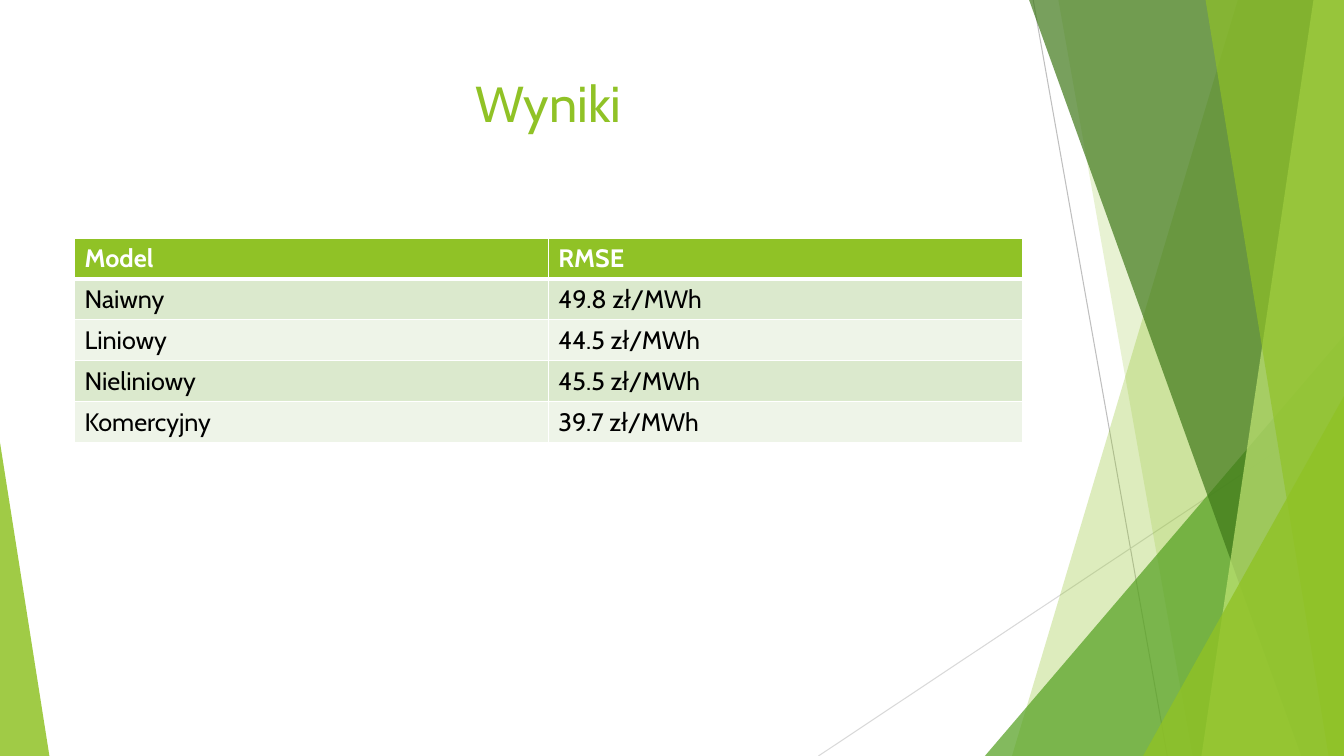
from lxml import etree
from pptx import Presentation
from pptx import util as u
from pptx.dml.color import RGBColor
from pptx.enum import shapes, text
from pptx.oxml import ns

SLIDE_BOX = (0, 0, 960, 540)
TITLE_BOX = (53.3, 48.2, 676.8, 103.7)
RESULTS_BOX = (53.3, 170.1, 676.8, 146)
FONT = "Cabin"
GREEN = "90C226"
RESULTS = [
    ("Model", "RMSE"),
    ("Naiwny", "49.8 zł/MWh"),
    ("Liniowy", "44.5 zł/MWh"),
    ("Nieliniowy", "45.5 zł/MWh"),
    ("Komercyjny", "39.7 zł/MWh"),
]


def color(hex_code):
    """Turn a hex string into a colour."""
    return RGBColor.from_string(hex_code)


def add_node(parent, tag, **attributes):
    """Append a drawing element to its parent."""
    return etree.SubElement(parent, ns.qn(tag), attributes)


def write(frame, words, size=18, ink="000000", bold=False, align=text.PP_ALIGN.LEFT):
    """Write one formatted paragraph in a text frame."""
    frame.word_wrap = True
    paragraph = frame.paragraphs[0]
    paragraph.alignment = align
    run = paragraph.add_run()
    run.text = words
    run.font.name = FONT
    run.font.size = u.Pt(size)
    run.font.bold = bold
    run.font.color.rgb = color(ink)


def paint(facet, hex_code, opacity):
    """Give a facet a translucent fill and no outline."""
    facet.shadow.inherit = False
    facet.line.fill.background()
    facet.fill.solid()
    facet.fill.fore_color.rgb = color(hex_code)
    tint = facet.fill._xPr.find(".//" + ns.qn("a:srgbClr"))
    add_node(tint, "a:alpha", val=str(opacity * 1000))


def add_ray(slide, start, end, hex_code):
    """Draw one thin background line."""
    ray = slide.shapes.add_connector(
        shapes.MSO_CONNECTOR.STRAIGHT, *(u.Pt(value) for value in start + end))
    ray.line.color.rgb = color(hex_code)
    ray.line.width = u.Pt(0.75)
    add_node(ray._element.spPr, "a:effectLst")


def add_panel(slide, box, top_x, bottom_x, hex_code, opacity):
    """Draw a slanted panel that reaches the right edge of the box."""
    left, top, width, height = box
    right, bottom = left + width, top + height
    corners = [(right, top), (right, bottom), (left + bottom_x, bottom)]
    outline = slide.shapes.build_freeform(u.Pt(left + top_x), u.Pt(top))
    outline.add_line_segments([(u.Pt(x), u.Pt(y)) for x, y in corners])
    paint(outline.convert_to_shape(), hex_code, opacity)


def add_wedge(slide, box, x, width, height, apex, hex_code, opacity):
    """Draw a triangle that stands on the bottom of the box."""
    left, top, _, box_height = box
    wedge = slide.shapes.add_shape(
        shapes.MSO_SHAPE.ISOSCELES_TRIANGLE, u.Pt(left + x),
        u.Pt(top + box_height - height), u.Pt(width), u.Pt(height))
    wedge.adjustments[0] = apex
    paint(wedge, hex_code, opacity)


def add_backdrop(slide, box):
    """Draw the faceted green backdrop."""
    left, top, width, height = box
    right, bottom = left + width, top + height
    add_ray(slide, (left + 738, top), (left + 833.8, bottom), "BFBFBF")
    add_ray(slide, (right, top + 290.2), (left + 584.6, bottom), "D9D9D9")
    add_panel(slide, box, 884.2, 722.9, GREEN, 30)
    add_panel(slide, box, 756, 851.8, GREEN, 20)
    add_wedge(slide, box, 703.5, 256.5, 300.2, 1, "54A021", 72)
    add_panel(slide, box, 735.1, 929.5, "3F7819", 70)
    add_panel(slide, box, 938.2, 858.2, "C0E474", 70)
    add_panel(slide, box, 861.1, 949, GREEN, 65)
    add_wedge(slide, box, 816.5, 143.5, 257, 1, GREEN, 80)
    add_wedge(slide, box, 0, 35.3, 223.9, 0, GREEN, 85)


def add_title(slide, box):
    """Place the centred slide title."""
    title = slide.shapes.add_textbox(*(u.Pt(value) for value in box))
    title.text_frame.vertical_anchor = text.MSO_ANCHOR.TOP
    write(title.text_frame, "Wyniki", size=36, ink=GREEN, align=text.PP_ALIGN.CENTER)


def add_borders(cell, top_width, bottom_width):
    """Give a cell white borders."""
    properties = cell._tc.get_or_add_tcPr()
    widths = {"L": 1, "R": 1, "T": top_width, "B": bottom_width}
    for side, width in widths.items():
        border = add_node(properties, "a:ln" + side, w=str(u.Pt(width)))
        add_node(add_node(border, "a:solidFill"), "a:srgbClr", val="FFFFFF")


def add_results(slide, box):
    """Place the table of model errors."""
    row_count, column_count = len(RESULTS), len(RESULTS[0])
    results = slide.shapes.add_table(
        row_count, column_count, *(u.Pt(value) for value in box)).table
    for column in results.columns:
        column.width = u.Pt(box[2] / column_count)
    for index, entries in enumerate(RESULTS):
        results.rows[index].height = u.Pt(box[3] / row_count)
        header = index == 0
        band = GREEN if header else ("EEF4E8", "DBE9CD")[index % 2]
        for position, entry in enumerate(entries):
            cell = results.cell(index, position)
            add_borders(cell, 3 if index == 1 else 1, 3 if header else 1)
            cell.fill.solid()
            cell.fill.fore_color.rgb = color(band)
            write(cell.text_frame, entry, bold=header,
                  ink="FFFFFF" if header else "000000")


def main():
    """Build and save the results slide."""
    deck = Presentation()
    deck.slide_width, deck.slide_height = u.Pt(SLIDE_BOX[2]), u.Pt(SLIDE_BOX[3])
    slide = deck.slides.add_slide(deck.slide_layouts[6])
    add_backdrop(slide, SLIDE_BOX)
    add_title(slide, TITLE_BOX)
    add_results(slide, RESULTS_BOX)
    deck.save("out.pptx")


if __name__ == "__main__":
    main()
